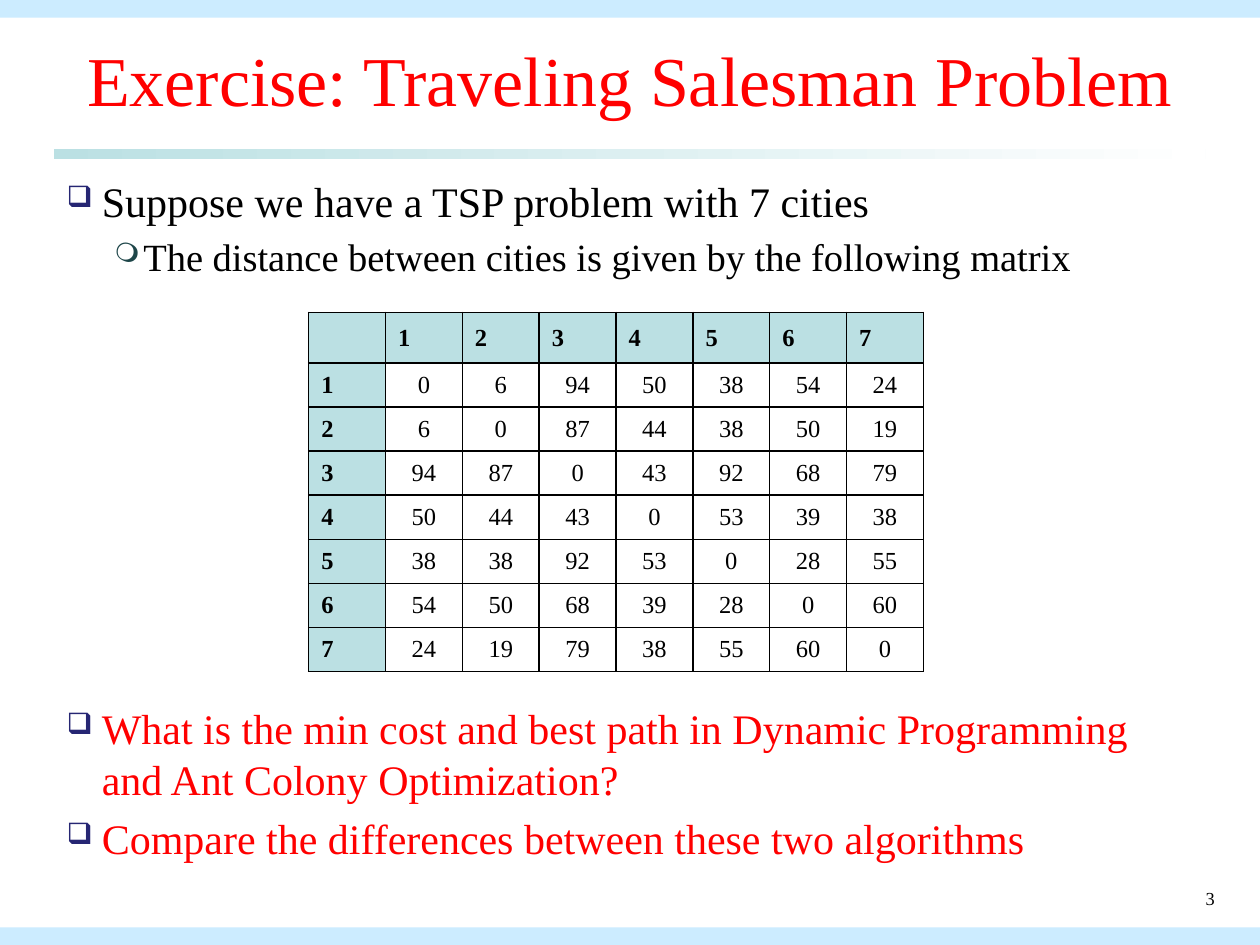
import pptx
import pptx.util
import pptx.dml.color
import pptx.enum.shapes
import pptx.enum.text
import pptx.oxml
import pptx.oxml.ns
from lxml import etree

Inches = pptx.util.Inches
Pt = pptx.util.Pt
RGBColor = pptx.dml.color.RGBColor
Align = pptx.enum.text.PP_ALIGN
Anchor = pptx.enum.text.MSO_ANCHOR
qn = pptx.oxml.ns.qn

RED = RGBColor(0xFF, 0x00, 0x00)
BLACK = RGBColor(0x00, 0x00, 0x00)
WHITE = RGBColor(0xFF, 0xFF, 0xFF)
TEAL = RGBColor(0xBB, 0xE0, 0xE3)
SKY = RGBColor(0xCC, 0xEC, 0xFF)
NAVY = RGBColor(0x26, 0x26, 0x73)
DARK_TEAL = RGBColor(0x1E, 0x46, 0x49)

# Per outline level: left indent, hanging indent, bullet, bullet colour, text size
LEVELS = [
    (0.28, 0.28, "❑", NAVY, 24),
    (0.61, 0.23, "❍", DARK_TEAL, 22),
]
TABLE_GAP = 242  # points left free between the bullets for the table

# Level, text, colour, extra space before in points
BULLETS = [
    (0, "Suppose we have a TSP problem with 7 cities", BLACK, 0),
    (1, "The distance between cities is given by the following matrix", BLACK, 0),
    (0, "What is the min cost and best path in Dynamic Programming "
        "and Ant Colony Optimization?", RED, TABLE_GAP),
    (0, "Compare the differences between these two algorithms", RED, 0),
]
DISTANCES = [
    [0, 6, 94, 50, 38, 54, 24],
    [6, 0, 87, 44, 38, 50, 19],
    [94, 87, 0, 43, 92, 68, 79],
    [50, 44, 43, 0, 53, 39, 38],
    [38, 38, 92, 53, 0, 28, 55],
    [54, 50, 68, 39, 28, 0, 60],
    [24, 19, 79, 38, 55, 60, 0],
]


class SlideBuilder:
    font = "Times New Roman"

    def __init__(self, page):
        self.page = page

    def style(self, paragraph, size, color, align=Align.LEFT, bold=False):
        paragraph.alignment = align
        paragraph.font.name = self.font
        paragraph.font.size = Pt(size)
        paragraph.font.bold = bold
        paragraph.font.color.rgb = color

    def bar(self, left, top, width, height, color, fade_to=None):
        """Add a borderless band, fading to the right when fade_to is given."""
        shape = self.page.shapes.add_shape(
            pptx.enum.shapes.MSO_SHAPE.RECTANGLE,
            Inches(left), Inches(top), Inches(width), Inches(height))
        shape.shadow.inherit = False
        shape.line.fill.background()
        if fade_to is None:
            shape.fill.solid()
            shape.fill.fore_color.rgb = color
            return
        shape.fill.gradient()
        shape.fill.gradient_angle = 0
        for stop, stop_color in zip(shape.fill.gradient_stops, (color, fade_to)):
            stop.color.rgb = stop_color

    def frame(self, left, top, width, height, wrap=True, anchor=Anchor.TOP):
        box = self.page.shapes.add_textbox(
            Inches(left), Inches(top), Inches(width), Inches(height))
        box.text_frame.word_wrap = wrap
        box.text_frame.vertical_anchor = anchor
        return box.text_frame

    def text(self, place, words, size, color, align, **options):
        para = self.frame(*place, **options).paragraphs[0]
        para.text = words
        self.style(para, size, color, align)

    def bullets(self, place, items):
        frame = self.frame(*place)
        for index, (level, words, color, gap) in enumerate(items):
            para = frame.add_paragraph() if index else frame.paragraphs[0]
            indent, hanging, mark, mark_color, size = LEVELS[level]
            para.text = words
            para.level = level
            para.space_before = Pt(gap or size * 0.2)
            self.style(para, size, color)
            props = para._p.get_or_add_pPr()
            props.set("marL", str(Inches(indent)))
            props.set("indent", str(-Inches(hanging)))
            tint = etree.SubElement(props, qn("a:buClr"))
            etree.SubElement(tint, qn("a:srgbClr"), val=str(mark_color))
            etree.SubElement(props, qn("a:buSzPct"), val="70000")
            etree.SubElement(props, qn("a:buChar"), char=mark)
            # Bullet settings must precede the default run properties
            defaults = props.find(qn("a:defRPr"))
            if defaults is not None:
                props.append(defaults)

    def cell(self, cell, value, header):
        props = cell._tc.get_or_add_tcPr()
        for side in ("a:lnL", "a:lnR", "a:lnT", "a:lnB"):
            line = etree.SubElement(props, qn(side), w=str(Pt(1)))
            fill = etree.SubElement(line, qn("a:solidFill"))
            etree.SubElement(fill, qn("a:srgbClr"), val=str(BLACK))
        if header:
            cell.fill.solid()
            cell.fill.fore_color.rgb = TEAL
        else:
            cell.fill.background()
        cell.vertical_anchor = Anchor.MIDDLE
        if value != "":
            cell.text = str(value)
            self.style(cell.text_frame.paragraphs[0], 14, BLACK,
                       Align.JUSTIFY if header else Align.CENTER, header)

    def matrix(self, left, top, column_width, row_height, distances):
        """Add a square table with numbered header row and column."""
        count = len(distances) + 1
        rows = [["", *range(1, count)]]
        rows += [[city, *row] for city, row in enumerate(distances, 1)]
        table = self.page.shapes.add_table(
            count, count, Inches(left), Inches(top),
            Inches(column_width * count), Inches(row_height * count)).table
        table.first_row = table.horz_banding = False
        for column in table.columns:
            column.width = Inches(column_width)
        for row in table.rows:
            row.height = Inches(row_height)
        for r, values in enumerate(rows):
            for c, value in enumerate(values):
                self.cell(table.cell(r, c), value, header=r == 0 or c == 0)


def main():
    deck = pptx.Presentation()
    deck.slide_width, deck.slide_height = Inches(10), Inches(7.5)
    slide = SlideBuilder(deck.slides.add_slide(deck.slide_layouts[6]))

    slide.bar(0.43, 1.18, 9.14, 0.08, TEAL, fade_to=WHITE)
    for top in (0, 7.36):
        slide.bar(0, top, 10, 0.14, SKY)
    slide.text((0.5, 0.14, 9, 0.96), "Exercise: Traveling Salesman Problem",
               40, RED, Align.CENTER, wrap=False, anchor=Anchor.MIDDLE)
    slide.bullets((0.43, 1.34, 9.07, 5.65), BULLETS)
    slide.text((7.17, 6.99, 2.57, 0.37), "3", 10.5, BLACK, Align.RIGHT)
    slide.matrix(2.45, 2.48, 0.61, 0.35, DISTANCES)

    deck.save("out.pptx")


if __name__ == "__main__":
    main()
